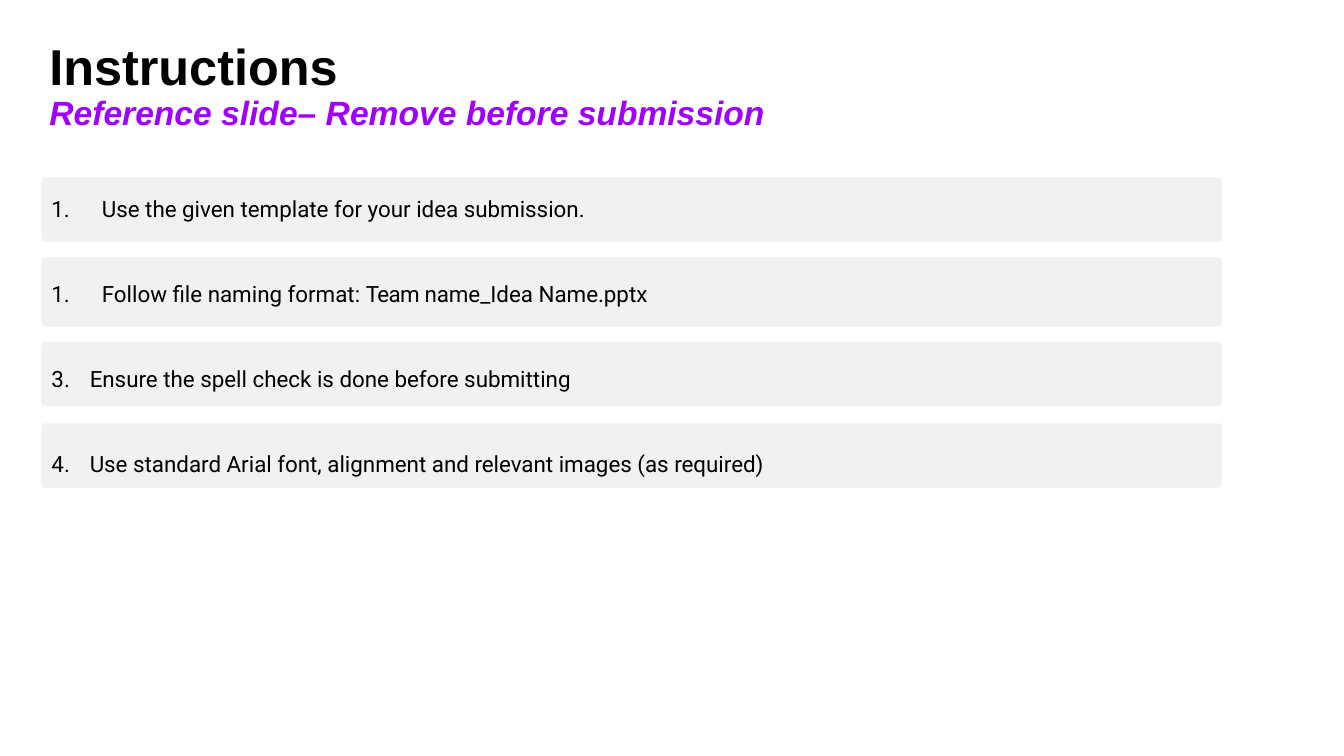
"""Build the instructions slide: a two-line title and four numbered rules on grey bars."""
from lxml import etree
from pptx import Presentation
from pptx import util as u
from pptx.dml.color import RGBColor
from pptx.enum import shapes, text
from pptx.oxml.ns import qn

BLACK = RGBColor(0x00, 0x00, 0x00)
PURPLE = RGBColor(0xA0, 0x00, 0xFF)
GREY = RGBColor(0xF1, 0xF1, 0xF1)
INDENT = u.Inches(0.39)

prs = Presentation()
prs.slide_width, prs.slide_height = u.Inches(13.33), u.Inches(7.5)
s = prs.slides.add_slide(prs.slide_layouts[6])


def add_box(x, y, w, h):
    tf = s.shapes.add_textbox(*map(u.Inches, (x, y, w, h))).text_frame
    frame = dict(word_wrap=True, margin_left=0, margin_right=0, margin_bottom=0,
                 margin_top=u.Inches(0.01), vertical_anchor=text.MSO_ANCHOR.TOP)
    for name, value in frame.items():
        setattr(tf, name, value)
    return tf


def add_run(p, words, color, **font):
    r = p.add_run()
    r.text = words
    r.font.color.rgb = color
    for name, value in font.items():
        setattr(r.font, name, value)
    return r


tf = add_box(0.48, 0.38, 7.13, 0.95)
titles = [
    ("Instructions", BLACK, 40.5, 1, dict(size=u.Pt(36))),
    ("Reference slide– Remove before submission", PURPLE, 26.1, 0,
     dict(size=u.Pt(24), italic=True)),
]
for i, (words, color, line, before, font) in enumerate(titles):
    p = tf.add_paragraph() if i else tf.paragraphs[0]
    p.line_spacing, p.space_before = u.Pt(line), u.Pt(before)
    p._p.get_or_add_pPr().set("marL", str(u.Inches(0.01)))
    add_run(p, words, color, name="Arial", bold=True, **font)

for top, height in [(1.76, 0.64), (2.55, 0.69), (3.39, 0.64), (4.2, 0.64)]:
    sp = s.shapes.add_shape(shapes.MSO_SHAPE.ROUNDED_RECTANGLE,
                            *map(u.Inches, (0.41, top, 11.71, height)))
    sp.adjustments[0] = 0.04 / height
    sp.shadow.inherit = False
    sp.fill.solid()
    sp.fill.fore_color.rgb = GREY
    sp.line.fill.background()

tf = add_box(0.5, 1.93, 7.12, 2.74)
rules = [
    (["1.\tUse the given template for your idea submission."], False),
    (["1.\tFollow file naming format: ", "Team ", "name_Idea Name.pptx"], False),
    (["Ensure the spell check is done before submitting"], True),
    (["Use standard Arial font, alignment and relevant images (as required)"], True),
]
for i, (parts, numbered) in enumerate(rules):
    p = tf.add_paragraph() if i else tf.paragraphs[0]
    p.space_before = u.Pt(41.5 if i else 1.1)
    pPr = p._p.get_or_add_pPr()
    pPr.set("marL", str(INDENT if numbered else u.Inches(0.01)))
    pPr.set("indent", str(u.Inches(-0.38) if numbered else 0))
    if numbered:
        font = etree.SubElement(pPr, qn("a:buFont"))
        font.set("typeface", "Roboto")
        number = etree.SubElement(pPr, qn("a:buAutoNum"))
        number.set("type", "arabicPeriod")
        number.set("startAt", "3")
    tab = etree.SubElement(etree.SubElement(pPr, qn("a:tabLst")), qn("a:tab"))
    tab.set("pos", str(INDENT))
    tab.set("algn", "l")
    for words in parts:
        r = add_run(p, words, BLACK, name="Roboto", size=u.Pt(16))
        if words == "Team ":
            r.font._element.set("spc", "-50")

prs.save("out.pptx")
